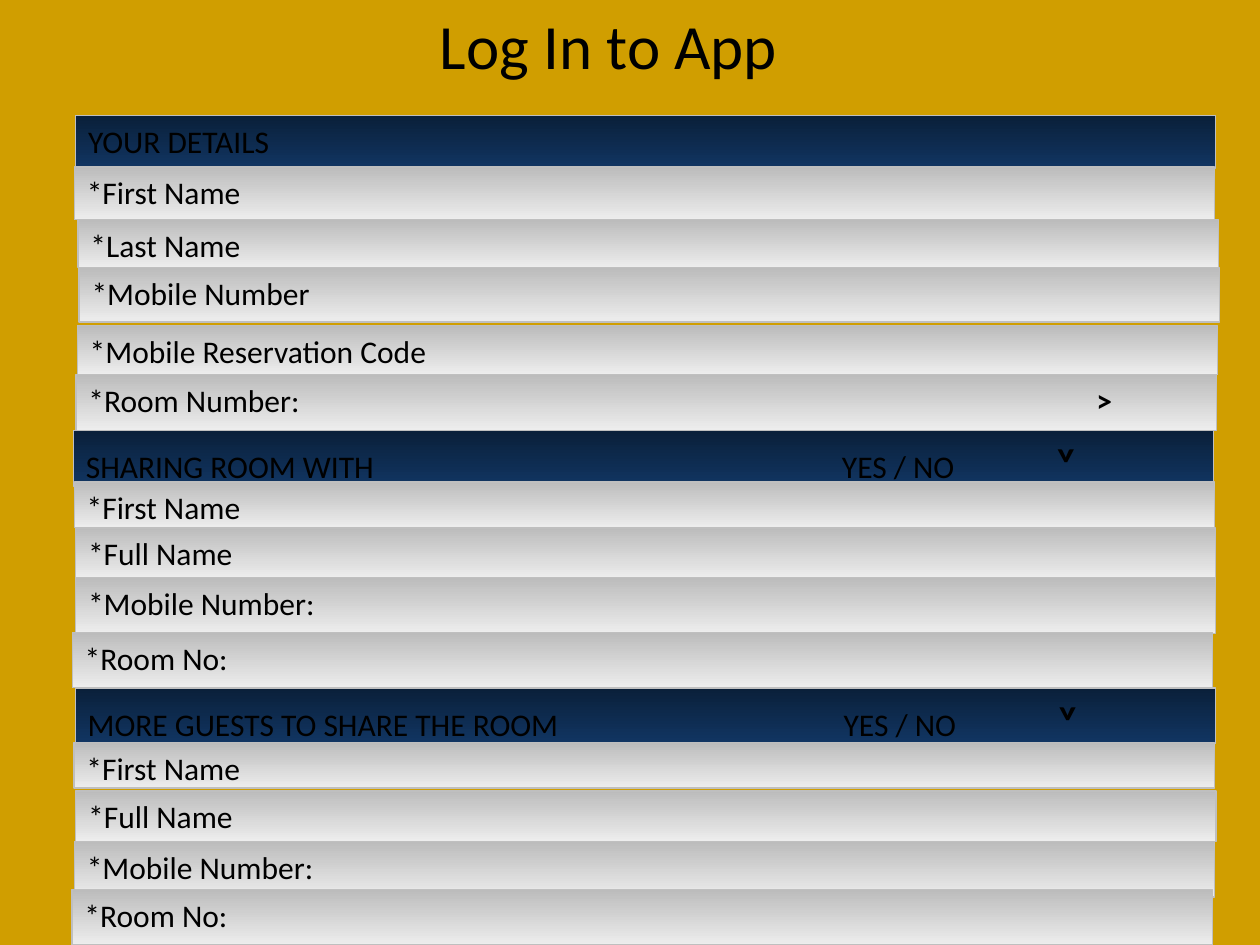
from pptx import Presentation
from pptx.dml.color import RGBColor
from pptx.enum.shapes import MSO_SHAPE
from pptx.enum.text import MSO_ANCHOR, PP_ALIGN
from pptx.oxml.ns import qn
from pptx.util import Pt
from lxml import etree

RECT = MSO_SHAPE.RECTANGLE
TOP = MSO_ANCHOR.TOP
LEFT, CENTER = PP_ALIGN.LEFT, PP_ALIGN.CENTER

BACKGROUND, TEXT, BORDER = "D09E00", "000000", "BFBFBF"
HEADER, FIELD = ("0A203A", "113562"), ("BCBCBC", "EDEDED")
TITLE = "Log In to App"
ROW_WIDTH = 651.6
CHOICE_TABS, ARROW_TABS = (432, 553.5), (576,)

# Form rows: text, gradient, left, top, height, arrow size, tab stops
ROWS = [
    ("YOUR DETAILS", HEADER, 43.2, 66.2, 30.2, 18, ()),
    ("*First Name", FIELD, 42.5, 95.4, 30.2, 18, ()),
    ("*Last Name", FIELD, 44.6, 125.5, 27.4, 18, ()),
    ("*Mobile Number", FIELD, 45.2, 153, 31, 18, ()),
    ("*Mobile Reservation Code", FIELD, 44.2, 186, 28.1, 18, ()),
    ("*Room Number:\t˃", FIELD, 43.4, 214.2, 31.7, 18, ARROW_TABS),
    ("SHARING ROOM WITH\tYES / NO\t˅", HEADER, 42, 246.2, 31.7, 24, CHOICE_TABS),
    ("*First Name", FIELD, 42.4, 275.5, 25.9, 18, ()),
    ("*Full Name", FIELD, 43.2, 301.7, 28.8, 18, ()),
    ("*Mobile Number:", FIELD, 43.2, 330.2, 31.7, 18, ()),
    ("*Room No:", FIELD, 41.3, 361.4, 31.7, 18, ()),
    ("MORE GUESTS TO SHARE THE ROOM\tYES / NO\t˅", HEADER, 43, 393.1, 31.7, 24, CHOICE_TABS),
    ("*First Name", FIELD, 42.3, 424.5, 25.9, 18, ()),
    ("*Full Name", FIELD, 43.3, 452, 28.8, 18, ()),
    ("*Mobile Number:", FIELD, 42.5, 481, 31.7, 18, ()),
    ("*Room No:", FIELD, 41.2, 508.3, 31.7, 18, ()),
]


def color(value):
    return RGBColor.from_string(value)


def write(sp, text, size=18, align=LEFT, inset_top=3.6, tabs=(), arrow_size=18):
    """Write one line; with tab stops, its last column is a bold arrow."""
    tf = sp.text_frame
    tf.word_wrap = True
    tf.vertical_anchor = TOP
    tf.margin_left = tf.margin_right = Pt(7.2)
    tf.margin_top, tf.margin_bottom = Pt(inset_top), Pt(3.6)
    p = tf.paragraphs[0]
    p.alignment = align
    runs = [(text, size, False)]
    if tabs:
        label, arrow = text.rsplit("\t", 1)
        runs = [(label + "\t", size, False), (arrow, arrow_size, True)]
        stops = etree.SubElement(p._p.get_or_add_pPr(), qn("a:tabLst"))
        for stop in tabs:
            etree.SubElement(stops, qn("a:tab"), pos=str(int(Pt(stop))), algn="l")
    for words, points, bold in runs:
        r = p.add_run()
        r.text = words
        r.font.name, r.font.size, r.font.bold = "Calibri", Pt(points), bold
        r.font.color.rgb = color(TEXT)


def add_row(s, text, gradient, left, top, height, arrow_size, tabs):
    sp = s.shapes.add_shape(RECT, Pt(left), Pt(top), Pt(ROW_WIDTH), Pt(height))
    sp.shadow.inherit = False
    sp.fill.gradient()
    sp.fill.gradient_angle = 270  # counter-clockwise: runs top to bottom
    for stop, position, value in zip(sp.fill.gradient_stops, (0, 1), gradient):
        stop.position = position
        stop.color.rgb = color(value)
    sp.line.color.rgb = color(BORDER)
    sp.line.width = Pt(0.75)
    write(sp, text, tabs=tabs, arrow_size=arrow_size)


prs = Presentation()
prs.slide_width, prs.slide_height = Pt(720), Pt(540)
s = prs.slides.add_slide(prs.slide_layouts[6])
s.background.fill.solid()
s.background.fill.fore_color.rgb = color(BACKGROUND)

# Title
title = s.shapes.add_textbox(Pt(113.8), Pt(0), Pt(468), Pt(41.8))
write(title, TITLE, size=36, align=CENTER)

# Form
for row in ROWS:
    add_row(s, *row)

prs.save("out.pptx")
